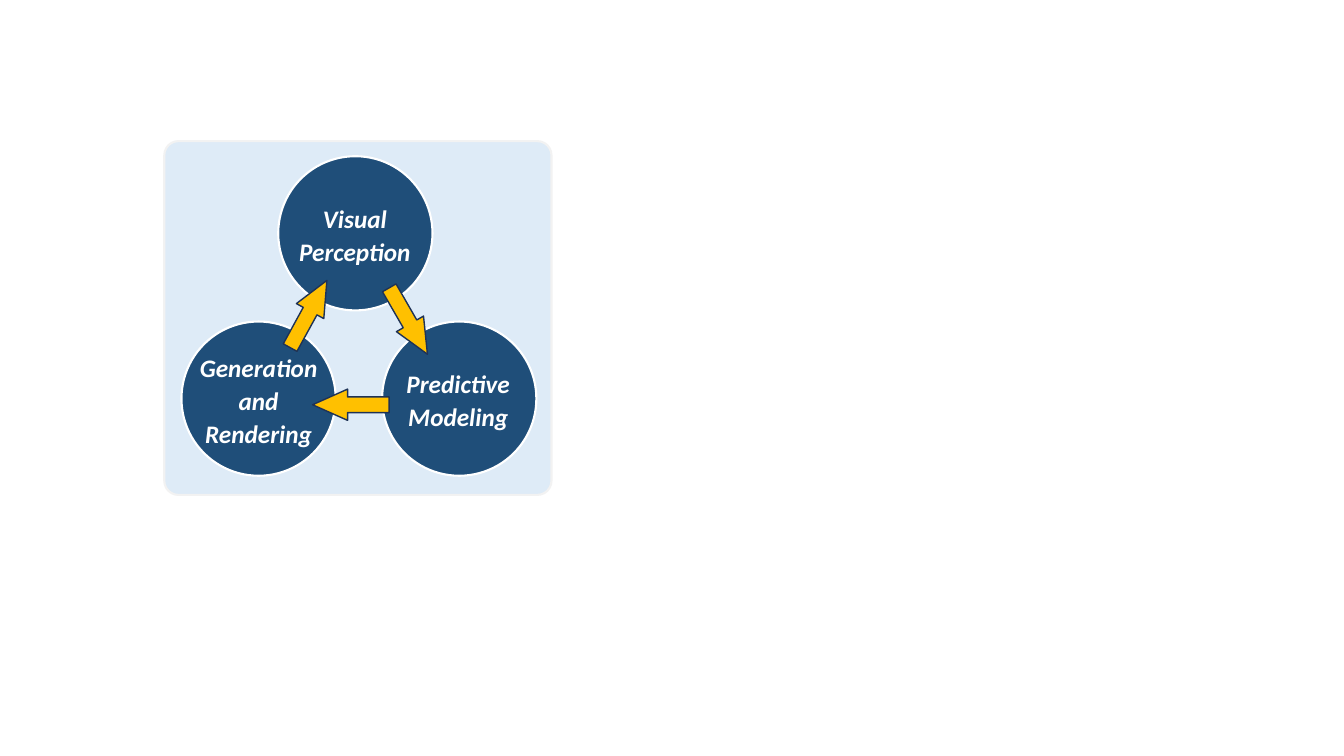
import pptx
import pptx.util
import pptx.dml.color
import pptx.enum.shapes
import pptx.enum.text

Inches = pptx.util.Inches
Pt = pptx.util.Pt
SHAPE = pptx.enum.shapes.MSO_SHAPE

COLORS = {
    "panel": "DEEBF7", "panel_edge": "F2F2F2",
    "circle": "1F4E79", "white": "FFFFFF",
    "arrow": "FFC000", "arrow_edge": "1E3256",
}

PANEL = (1.63, 1.4, 3.84, 3.51)
DIAMETER = 1.53
LABEL_HEIGHT = 1.08
# label, circle left, circle top, label left, label width
STAGES = [
    ("Visual Perception", 2.76, 1.55, 2.87, 1.3),
    ("Predictive Modeling", 3.79, 3.19, 3.88, 1.33),
    ("Generation and Rendering", 1.8, 3.19, 1.8, 1.53),
]
ARROW_SIZE = (0.76, 0.31)
# left, top, rotation
ARROWS = [(2.68, 2.96, 298.7), (3.67, 3.03, 60.1), (3.1, 3.86, 180)]

FONT = {"name": "Calibri", "size": Pt(18), "bold": True, "italic": True}
FRAME = {
    "word_wrap": True,
    "vertical_anchor": pptx.enum.text.MSO_ANCHOR.MIDDLE,
    **{f"margin_{side}": Inches(0.03) for side in ("left", "top", "right", "bottom")},
}
PARAGRAPH = {"alignment": pptx.enum.text.PP_ALIGN.CENTER, "line_spacing": 1.1}


def color(name):
    return pptx.dml.color.RGBColor.from_string(COLORS[name])


def apply(target, values):
    for name, value in values.items():
        setattr(target, name, value)


def add_filled(shapes, kind, bounds, fill, edge, width, adjustments=()):
    shape = shapes.add_shape(kind, *map(Inches, bounds))
    shape.shadow.inherit = False
    shape.fill.solid()
    shape.fill.fore_color.rgb = color(fill)
    shape.line.color.rgb = color(edge)
    shape.line.width = Pt(width)
    for index, value in enumerate(adjustments):
        shape.adjustments[index] = value
    return shape


def add_label(shapes, text, bounds):
    box = shapes.add_textbox(*map(Inches, bounds))
    apply(box.text_frame, FRAME)
    para = box.text_frame.paragraphs[0]
    apply(para, PARAGRAPH)
    span = para.add_run()
    span.text = text
    apply(span.font, FONT)
    span.font.color.rgb = color("white")


def main():
    deck = pptx.Presentation()
    deck.slide_width, deck.slide_height = Inches(13.33), Inches(7.5)
    page = deck.slides.add_slide(deck.slide_layouts[6])

    add_filled(page.shapes, SHAPE.ROUNDED_RECTANGLE, PANEL,
               "panel", "panel_edge", 1.5, [0.04])

    for text, left, top, label_left, label_width in STAGES:
        stage = page.shapes.add_group_shape().shapes
        add_filled(stage, SHAPE.OVAL, (left, top, DIAMETER, DIAMETER),
                   "circle", "white", 1.5)
        label_top = top + (DIAMETER - LABEL_HEIGHT) / 2
        add_label(stage, text, (label_left, label_top, label_width, LABEL_HEIGHT))

    for left, top, rotation in ARROWS:
        arrow = add_filled(page.shapes, SHAPE.RIGHT_ARROW, (left, top, *ARROW_SIZE),
                           "arrow", "arrow_edge", 1, [0.5, 1.12])
        arrow.rotation = rotation

    deck.save("out.pptx")


if __name__ == "__main__":
    main()
